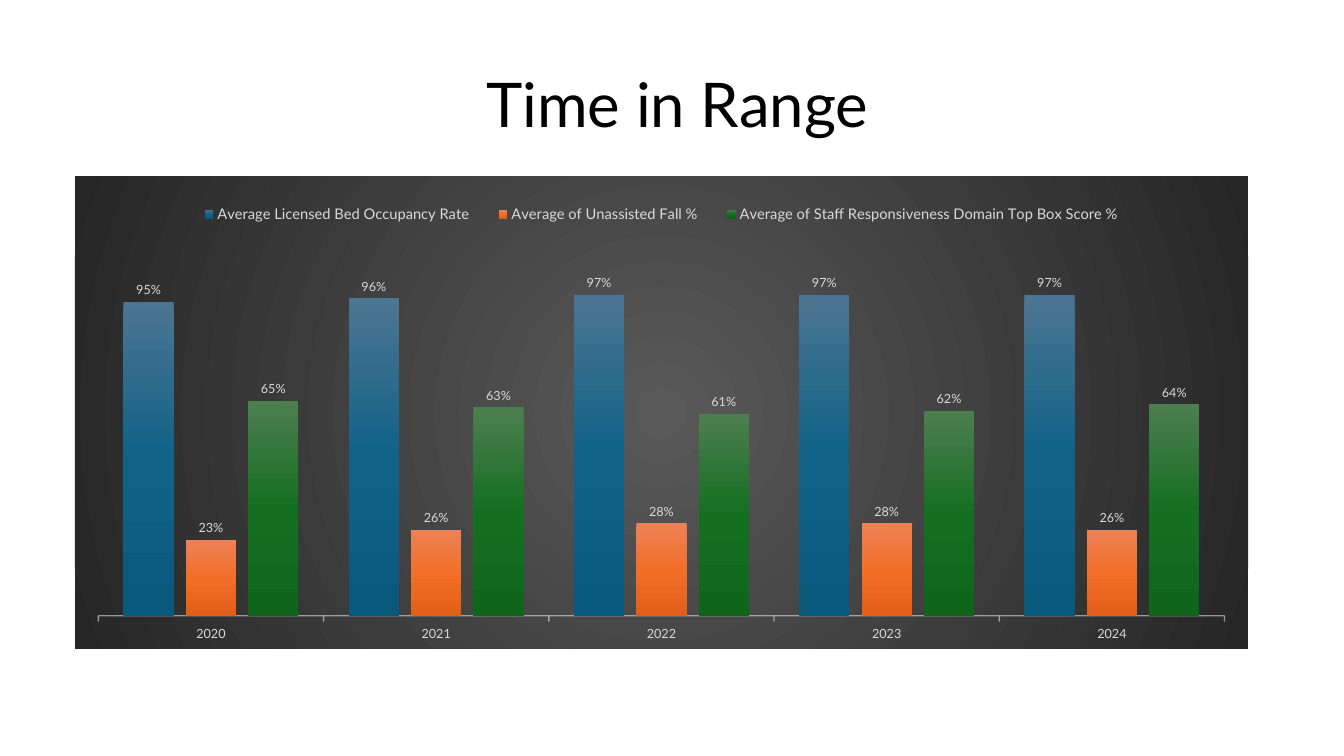
"""Build the Time in Range slide with its clustered column chart."""
from lxml.etree import SubElement
from pptx import Presentation
from pptx.chart.data import CategoryChartData
from pptx.dml.color import RGBColor
from pptx.enum.chart import XL_CHART_TYPE as ChartType
from pptx.enum.chart import XL_LABEL_POSITION as LabelPosition
from pptx.enum.chart import XL_LEGEND_POSITION as LegendPosition
from pptx.enum.chart import XL_TICK_LABEL_POSITION as TickLabels
from pptx.enum.chart import XL_TICK_MARK as TickMark
from pptx.enum.text import MSO_ANCHOR as Anchor
from pptx.enum.text import PP_ALIGN as Align
from pptx.oxml import parse_xml
from pptx.oxml.ns import nsdecls, qn
from pptx.util import Pt

FONT = "Lato"
PALE = "D9D9D9"
YEARS = ["2020", "2021", "2022", "2023", "2024"]
MEASURES = [
    ("Average Licensed Bed Occupancy Rate",
     [0.95, 0.96, 0.97, 0.97, 0.97], ["4C7591", "106287", "09597D"]),
    ("Average of Unassisted Fall %",
     [0.23, 0.26, 0.28, 0.28, 0.26], ["ED8257", "F26E29", "E25F1A"]),
    ("Average of Staff Responsiveness Domain Top Box Score %",
     [0.65, 0.63, 0.61, 0.62, 0.64], ["4D7E50", "156F21", "0F661B"]),
]
DOWNWARD = '<a:lin ang="5400000" scaled="0"/>'
RADIAL = ('<a:path path="circle">'
          '<a:fillToRect l="50000" t="50000" r="50000" b="50000"/></a:path>')


def color(hex_code):
    """Turn a hex string into a colour."""
    return RGBColor.from_string(hex_code)


def style_font(font, size, hex_code):
    """Set the typeface, size and colour of a font."""
    font.name = FONT
    font.size = Pt(size)
    font.color.rgb = color(hex_code)


def gradient(hex_codes, direction):
    """Return a gradient fill with evenly spaced stops."""
    step = 100000 // (len(hex_codes) - 1)
    stops = "".join(
        f'<a:gs pos="{i * step}"><a:srgbClr val="{code}"/></a:gs>'
        for i, code in enumerate(hex_codes))
    return parse_xml(f'<a:gradFill {nsdecls("a")} rotWithShape="1">'
                     f'<a:gsLst>{stops}</a:gsLst>{direction}</a:gradFill>')


def add_title(slide, wording):
    """Place and format the slide title."""
    title = slide.shapes.title
    title.left, title.top, title.width, title.height = (
        Pt(76.3), Pt(27.4), Pt(815), Pt(99.4))
    frame = title.text_frame
    frame.text = wording
    frame.vertical_anchor = Anchor.MIDDLE
    paragraph = frame.paragraphs[0]
    paragraph.alignment = Align.CENTER
    paragraph.line_spacing = 0.9
    style_font(paragraph.runs[0].font, 44, "000000")


def style_background(chart):
    """Give the chart area a dark radial gradient without a border."""
    area = parse_xml(f'<c:spPr {nsdecls("c", "a")}><a:ln><a:noFill/></a:ln></c:spPr>')
    area.insert(0, gradient(["595959", "262626"], RADIAL))
    chart.element.find(qn("c:chart")).addnext(area)


def place_part(part, position, **settings):
    """Fix a chart part at the given child position, in fractions of the chart."""
    for automatic in part.findall(qn("c:layout")):
        part.remove(automatic)
    layout = parse_xml(f'<c:layout {nsdecls("c")}><c:manualLayout/></c:layout>')
    for name, value in settings.items():
        SubElement(layout[0], qn(f"c:{name}")).set("val", str(value))
    part.insert(position, layout)


def style_axes(chart):
    """Show the year axis and hide the percentage axis."""
    years = chart.category_axis
    years.major_tick_mark = TickMark.OUTSIDE
    years.tick_label_position = TickLabels.LOW
    style_font(years.tick_labels.font, 9, PALE)
    line = years.format.line
    line.width = Pt(1)
    line.color.rgb = color("F2F2F2")
    tint = next(years._element.find(qn("c:spPr")).iter(qn("a:srgbClr")))
    SubElement(tint, qn("a:alpha")).set("val", "54000")
    percentages = chart.value_axis
    percentages.has_major_gridlines = False
    percentages.minimum_scale = 0
    percentages.maximum_scale = 1.1
    percentages.tick_labels.number_format = "0%"
    percentages.tick_labels.number_format_is_linked = False
    percentages.visible = False


def add_legend(chart):
    """Show the measures on one line above the columns."""
    chart.has_legend = True
    legend = chart.legend
    legend.position = LegendPosition.TOP
    legend.include_in_layout = False
    style_font(legend.font, 10.5, PALE)
    place_part(legend._element, 1, xMode="edge", yMode="edge",
               x=0.09, y=0.05, w=0.82, h=0.06)


def style_series(series, hex_codes):
    """Fill one measure's columns and label their values."""
    series._element.get_or_add_spPr().append(gradient(hex_codes, DOWNWARD))
    series.invert_if_negative = False
    labels = series.data_labels
    labels.show_value = True
    labels.position = LabelPosition.OUTSIDE_END
    labels.number_format = "0%"
    labels.number_format_is_linked = False
    style_font(labels.font, 9, PALE)


def add_measures_chart(slide):
    """Add the chart of yearly averages."""
    data = CategoryChartData(number_format="0%")
    data.categories = YEARS
    for name, values, _ in MEASURES:
        data.add_series(name, values)
    chart = slide.shapes.add_chart(
        ChartType.COLUMN_CLUSTERED, Pt(53.5), Pt(126), Pt(838), Pt(337.5), data).chart
    chart.has_title = False
    style_font(chart.font, 10, "000000")
    style_background(chart)
    place_part(chart.element.find(qn("c:chart")).find(qn("c:plotArea")), 0,
               layoutTarget="inner", xMode="edge", yMode="edge",
               x=0.02, y=0.16, w=0.96, h=0.77)
    style_axes(chart)
    add_legend(chart)
    plot = chart.plots[0]
    plot.gap_width = 100
    plot.overlap = -24
    plot.vary_by_categories = False
    for series, (_, _, hex_codes) in zip(plot.series, MEASURES):
        style_series(series, hex_codes)


def main():
    """Build and save the slide."""
    deck = Presentation()
    deck.slide_width, deck.slide_height = Pt(960), Pt(540)
    slide = deck.slides.add_slide(deck.slide_layouts[5])
    add_title(slide, "Time in Range")
    add_measures_chart(slide)
    deck.save("out.pptx")


if __name__ == "__main__":
    main()
